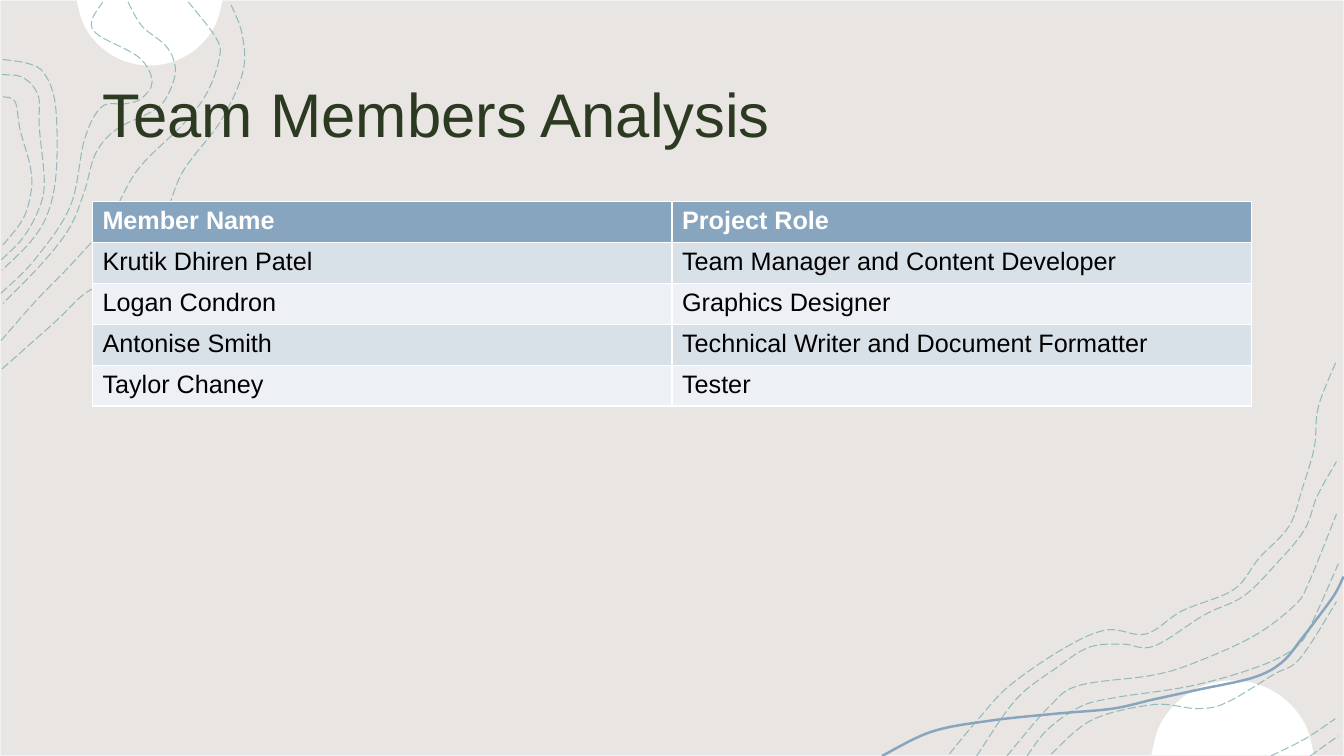
import math
from lxml import etree
from pptx import Presentation
from pptx.dml.color import RGBColor
from pptx.enum.dml import MSO_LINE
from pptx.enum.shapes import MSO_SHAPE
from pptx.enum.text import MSO_ANCHOR, PP_ALIGN
from pptx.oxml.ns import qn
from pptx.util import Cm, Pt

LONG_DASH = MSO_LINE.LONG_DASH
RECTANGLE = MSO_SHAPE.RECTANGLE
MIDDLE = MSO_ANCHOR.MIDDLE
LEFT = PP_ALIGN.LEFT

COLOURS = {
    "sand": "E8E5E2", "edge": "F2F2F2", "white": "FFFFFF", "blue": "87A5BE",
    "teal": "77ABAE", "forest": "2C3A21", "black": "000000",
    "band_dark": "D9E1E8", "band_light": "EDF0F4",
}
RGB = {name: RGBColor.from_string(value) for name, value in COLOURS.items()}
FONT = "Arial"
GRID = Cm(2.54) / 100

TOP_LEFT_CONTOURS = [
    [(2, 366), (55, 319), (86, 290), (127, 269), (160, 223), (181, 171),
     (219, 120), (241, 71), (240, 33), (228, 2)],
    [(1, 338), (38, 296), (73, 260), (108, 219), (137, 168), (183, 122),
     (206, 91), (218, 56), (214, 37), (187, 2)],
    [(127, 2), (141, 26), (165, 46), (174, 67), (169, 89), (155, 108),
     (116, 128), (95, 152), (84, 189), (69, 226), (42, 261), (3, 301)],
    [(1, 291), (35, 257), (70, 204), (84, 138), (101, 106), (124, 103),
     (140, 98), (151, 81), (138, 57), (98, 35), (91, 21), (102, 2)],
    [(3, 59), (28, 63), (44, 73), (55, 104), (56, 168), (48, 210),
     (31, 239), (2, 268)],
    [(2, 74), (23, 77), (38, 95), (39, 126), (44, 181), (38, 209),
     (22, 237), (1, 258)],
    [(3, 96), (15, 101), (20, 129), (30, 165), (31, 189), (23, 217), (3, 243)],
]
BOTTOM_RIGHT_CONTOURS = [
    [(942, 748), (971, 713), (1002, 680), (1056, 643), (1098, 625), (1137, 629),
     (1173, 606), (1224, 585), (1249, 554), (1279, 522), (1292, 485),
     (1304, 444), (1308, 404), (1326, 358)],
    [(969, 750), (1008, 694), (1049, 662), (1081, 642), (1114, 639), (1145, 641),
     (1195, 610), (1233, 592), (1263, 563), (1294, 526), (1307, 492), (1326, 458)],
    [(1300, 750), (1328, 730)],
    [(1261, 750), (1295, 733), (1325, 713)],
    [(1043, 748), (1084, 714), (1145, 699), (1188, 703), (1217, 697),
     (1264, 669), (1290, 653), (1326, 597)],
    [(1019, 750), (1039, 724), (1072, 701), (1107, 692), (1184, 680),
     (1252, 660), (1288, 640), (1303, 615), (1328, 559)],
    [(999, 750), (1042, 700), (1071, 680), (1143, 670), (1184, 658),
     (1244, 631), (1285, 600), (1299, 577), (1326, 510)],
]
RIBBON = [(1333, 572), (1324, 590), (1305, 616), (1292, 633), (1272, 657),
          (1244, 672), (1190, 684), (1144, 694), (1104, 703), (1048, 708),
          (982, 715), (924, 726), (875, 750)]
DISCS = [(148.5, -8, 73, 6, 174), (1223, 756, 81, 185, 355)]
ARC_PARTS = 8
MEMBERS = [
    ("Member Name", "Project Role"),
    ("Krutik Dhiren Patel", "Team Manager and Content Developer"),
    ("Logan Condron", "Graphics Designer"),
    ("Antonise Smith", "Technical Writer and Document Formatter"),
    ("Taylor Chaney", "Tester"),
]


def draw_curve(shapes, knots, closed=False):
    scaled = [(x * GRID, y * GRID) for x, y in knots]
    builder = shapes.build_freeform(*scaled[0], scale=1.0)
    builder.add_line_segments(scaled[1:], close=closed)
    curve = builder.convert_to_shape()
    curve.shadow.inherit = False
    outline = curve.element.find(".//" + qn("a:path"))
    spots = [(int(pt.get("x")), int(pt.get("y"))) for pt in outline.iter(qn("a:pt"))]
    padded = [spots[0], *spots, spots[-1]]
    segments = outline.findall(qn("a:lnTo"))
    for segment, a, b, c, d in zip(segments, padded, padded[1:], padded[2:], padded[3:]):
        bend = etree.Element(qn("a:cubicBezTo"))
        leaving = [q + (r - p) / 6 for p, q, r in zip(a, b, c)]
        arriving = [r - (s - q) / 6 for q, r, s in zip(b, c, d)]
        for x, y in (leaving, arriving, c):
            etree.SubElement(bend, qn("a:pt"), x=str(round(x)), y=str(round(y)))
        outline.replace(segment, bend)
    return curve


prs = Presentation()
prs.slide_width, prs.slide_height = Cm(33.87), Cm(19.05)
slide = prs.slides.add_slide(prs.slide_layouts[5])

backdrop = slide.shapes.add_shape(RECTANGLE, 0, 0, prs.slide_width, prs.slide_height)
backdrop.shadow.inherit = False
backdrop.fill.solid()
backdrop.fill.fore_color.rgb = RGB["sand"]
backdrop.line.color.rgb = RGB["edge"]
backdrop.line.width = Pt(1)

for centre_x, centre_y, radius, start, end in DISCS:
    angles = [math.radians(start + (end - start) * part / ARC_PARTS)
              for part in range(ARC_PARTS + 1)]
    disc = draw_curve(slide.shapes, [(centre_x + radius * math.cos(angle),
                                      centre_y + radius * math.sin(angle))
                                     for angle in angles], closed=True)
    disc.fill.solid()
    disc.fill.fore_color.rgb = RGB["white"]
    disc.line.fill.background()

ribbon = draw_curve(slide.shapes, RIBBON)
ribbon.fill.background()
ribbon.line.color.rgb = RGB["blue"]
ribbon.line.width = Pt(1.75)

for contours in (TOP_LEFT_CONTOURS, BOTTOM_RIGHT_CONTOURS):
    cluster = slide.shapes.add_group_shape()
    for knots in contours:
        contour = draw_curve(cluster.shapes, knots)
        contour.fill.background()
        contour.line.color.rgb = RGB["teal"]
        for key, value in {"width": Pt(0.75), "dash_style": LONG_DASH}.items():
            setattr(contour.line, key, value)
        tint = contour.element.spPr.find(qn("a:ln")).find(".//" + qn("a:srgbClr"))
        etree.SubElement(tint, qn("a:alpha"), val="75000")

heading = slide.shapes.title
heading.element.getparent().append(heading.element)
for key, value in {"left": Cm(2.33), "top": Cm(1.01),
                   "width": Cm(29.21), "height": Cm(3.68)}.items():
    setattr(heading, key, value)
heading.text_frame.text = "Team Members Analysis"
heading.text_frame.vertical_anchor = MIDDLE
heading_line = heading.text_frame.paragraphs[0]
heading_line.alignment = LEFT
heading_font = heading_line.runs[0].font
for key, value in {"name": FONT, "size": Pt(44)}.items():
    setattr(heading_font, key, value)
heading_font.color.rgb = RGB["forest"]

roles = slide.shapes.add_table(len(MEMBERS), 2, Cm(2.33), Cm(5.08),
                               Cm(29.21), Cm(5.15)).table
for row, member in enumerate(MEMBERS):
    is_header = row == 0
    band = "blue" if is_header else "band_dark" if row % 2 else "band_light"
    for column, wording in enumerate(member):
        cell = roles.cell(row, column)
        cell.text = wording
        cell.fill.solid()
        cell.fill.fore_color.rgb = RGB[band]
        font = cell.text_frame.paragraphs[0].runs[0].font
        for key, value in {"name": FONT, "size": Pt(18), "bold": is_header}.items():
            setattr(font, key, value)
        font.color.rgb = RGB["white" if is_header else "black"]

prs.save("out.pptx")
